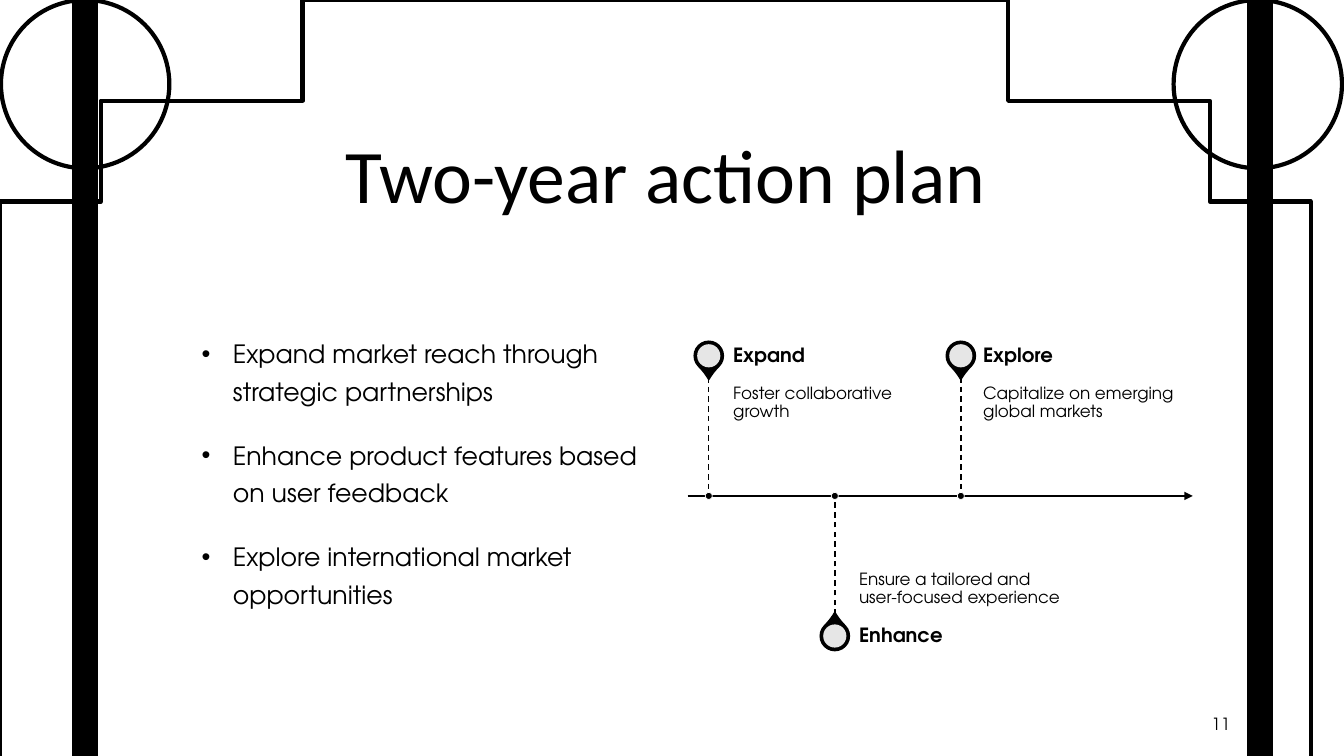
"""Build the two-year action plan slide with its arch frame and timeline."""
from lxml import etree
from pptx import Presentation
from pptx import util as u
from pptx.dml.color import RGBColor
from pptx.enum import dml, shapes, text
from pptx.oxml.ns import qn

BLACK = RGBColor(0, 0, 0)
WHITE = RGBColor(255, 255, 255)
PIN_GREY = RGBColor(230, 230, 230)
TITLE_FONT = "Calibri"
BODY_FONT = "TeX Gyre Adventor"

TITLE = "Two-year action plan"
GOALS = [
    "Expand market reach through strategic partnerships",
    "Enhance product features based on user feedback",
    "Explore international market opportunities",
]
MILESTONES = [
    {"name": "Expand", "detail": "Foster collaborative growth", "text_left": 7.27, "above": True},
    {"name": "Enhance", "detail": "Ensure a tailored and user-focused experience", "text_left": 8.52, "above": False},
    {"name": "Explore", "detail": "Capitalize on emerging global markets", "text_left": 9.75, "above": True},
]
PAGE_NUMBER = "11"

AXIS_Y = 4.92
AXIS_LEFT, AXIS_RIGHT = 6.82, 11.83
FIRST_PIN_X, PIN_STEP = 7.03, 1.25
STEM = 1.18
LABEL_WIDTH, NAME_HEIGHT = 2.08, 0.42
CURVE_STEPS = 40
ARCH_RIGHT = [(6.66, 0), (10.02, 0), (12.8, 1.43), (13.28, 3.3)]
ARCH_SIDES = [(13.35, 3.67), (13.33, 3.67), (13.33, 7.67), (-0.02, 7.67), (-0.02, 3.58), (0, 3.58)]
ARCH_LEFT = [(0.05, 3.3), (0.53, 1.43), (3.31, 0), (6.66, 0)]


def paint(shape, fill=None, line=None, weight=1):
    shape.shadow.inherit = False
    if fill is None:
        shape.fill.background()
    else:
        shape.fill.solid()
        shape.fill.fore_color.rgb = fill
    if line is None:
        shape.line.fill.background()
    else:
        shape.line.color.rgb = line
        shape.line.width = u.Pt(weight)


def add_shape(page, kind, left, top, width, height, **style):
    shape = page.shapes.add_shape(kind, *map(u.Inches, (left, top, width, height)))
    paint(shape, **style)
    return shape


def add_dot(page, x, y, size, **style):
    return add_shape(page, shapes.MSO_SHAPE.OVAL, x - size / 2, y - size / 2, size, size, **style)


def add_line(page, start, end, weight):
    line = page.shapes.add_connector(shapes.MSO_CONNECTOR.STRAIGHT, *map(u.Inches, start + end))
    line.line.color.rgb = BLACK
    line.line.width = u.Pt(weight)
    etree.SubElement(line._element.spPr, qn("a:effectLst"))
    return line


def add_text(page, place, lines, size, insets, font=BODY_FONT, bold=False, spacing=1.0,
             anchor=text.MSO_ANCHOR.TOP, align=text.PP_ALIGN.LEFT):
    box = page.shapes.add_textbox(*map(u.Inches, place))
    frame = box.text_frame
    frame.word_wrap = True
    frame.vertical_anchor = anchor
    frame.margin_left, frame.margin_top, frame.margin_right, frame.margin_bottom = map(u.Inches, insets)
    frame.text = "\n".join(lines)
    for para in frame.paragraphs:
        para.alignment = align
        para.line_spacing = spacing
        for span in para.runs:
            span.font.name = font
            span.font.size = u.Pt(size)
            span.font.bold = bold
            span.font.color.rgb = BLACK
    return frame


def curve_points(controls):
    points = []
    for step in range(CURVE_STEPS + 1):
        t = step / CURVE_STEPS
        weights = ((1 - t) ** 3, 3 * t * (1 - t) ** 2, 3 * t ** 2 * (1 - t), t ** 3)
        points.append(tuple(sum(w * c[axis] for w, c in zip(weights, controls)) for axis in (0, 1)))
    return points


def add_frame(page):
    for left in (11.64, 0.01):
        add_shape(page, shapes.MSO_SHAPE.OVAL, left, 0, 1.67, 1.67, line=BLACK, weight=3)
    outline = curve_points(ARCH_RIGHT) + ARCH_SIDES + curve_points(ARCH_LEFT)
    builder = page.shapes.build_freeform(*outline[0], scale=u.Inches(1))
    builder.add_line_segments(outline[1:], close=True)
    paint(builder.convert_to_shape(), line=BLACK, weight=3)
    for left in (0.72, 12.37):
        add_shape(page, shapes.MSO_SHAPE.RECTANGLE, left, 0, 0.25, 7.5, fill=BLACK, line=BLACK)


def add_goals(page):
    frame = add_text(page, (2, 3.21, 4.5, 3.71), GOALS, 18, (0, 0.07, 0.13, 0.07), spacing=1.25)
    for index, para in enumerate(frame.paragraphs):
        if index:
            para.space_before = u.Pt(18.7)
        props = para._p.get_or_add_pPr()
        props.set("marL", str(u.Inches(0.31)))
        props.set("indent", str(-u.Inches(0.31)))
        etree.SubElement(props, qn("a:buFont"), typeface="Arial")
        etree.SubElement(props, qn("a:buChar"), char="•")


def add_milestone(page, x, milestone):
    above, left = milestone["above"], milestone["text_left"]
    side = -1 if above else 1
    stem_end = AXIS_Y + side * STEM
    pin_y = stem_end + side * 0.21
    pin = add_shape(page, shapes.MSO_SHAPE.TEAR, x - 0.145, pin_y - 0.145, 0.29, 0.29, fill=BLACK, line=BLACK)
    pin.adjustments[0] = 1.15
    pin.rotation = 135 if above else 315
    add_dot(page, x, pin_y, 0.23, fill=PIN_GREY)

    detail_top = stem_end if above else AXIS_Y
    name_top = stem_end - NAME_HEIGHT if above else stem_end
    add_text(page, (left, detail_top, LABEL_WIDTH, STEM), [milestone["detail"]], 12,
             (0, 0.08, 0.08, 0.12) if above else (0, 0.12, 0, 0.08), spacing=0.9,
             anchor=text.MSO_ANCHOR.TOP if above else text.MSO_ANCHOR.BOTTOM)
    add_text(page, (left, name_top, LABEL_WIDTH, NAME_HEIGHT), [milestone["name"]], 14,
             (0, 0, 0.1, 0), bold=True, spacing=0.9, anchor=text.MSO_ANCHOR.MIDDLE)

    stem = add_line(page, (x, stem_end), (x, AXIS_Y), 1)
    stem.line.dash_style = dml.MSO_LINE.DASH
    add_dot(page, x, AXIS_Y, 0.07, fill=BLACK, line=WHITE, weight=0.5)


def main():
    deck = Presentation()
    deck.slide_width, deck.slide_height = u.Inches(13.33), u.Inches(7.5)
    page = deck.slides.add_slide(deck.slide_layouts[6])
    page.background.fill.solid()
    page.background.fill.fore_color.rgb = WHITE

    add_frame(page)
    add_text(page, (2, 0.58, 9.33, 2.42), [TITLE], 54, (0, 0.07, 0.13, 0.07), font=TITLE_FONT,
             spacing=0.85, anchor=text.MSO_ANCHOR.MIDDLE, align=text.PP_ALIGN.CENTER)
    add_goals(page)

    axis = add_line(page, (AXIS_LEFT, AXIS_Y), (AXIS_RIGHT, AXIS_Y), 1.5)
    etree.SubElement(axis._element.spPr.get_or_add_ln(), qn("a:tailEnd"), type="triangle")
    for index, milestone in enumerate(MILESTONES):
        add_milestone(page, FIRST_PIN_X + index * PIN_STEP, milestone)

    add_text(page, (11.12, 7, 1.21, 0.35), [PAGE_NUMBER], 12, (0.13, 0.07, 0.13, 0.07),
             anchor=text.MSO_ANCHOR.BOTTOM, align=text.PP_ALIGN.RIGHT)
    deck.save("out.pptx")


if __name__ == "__main__":
    main()
